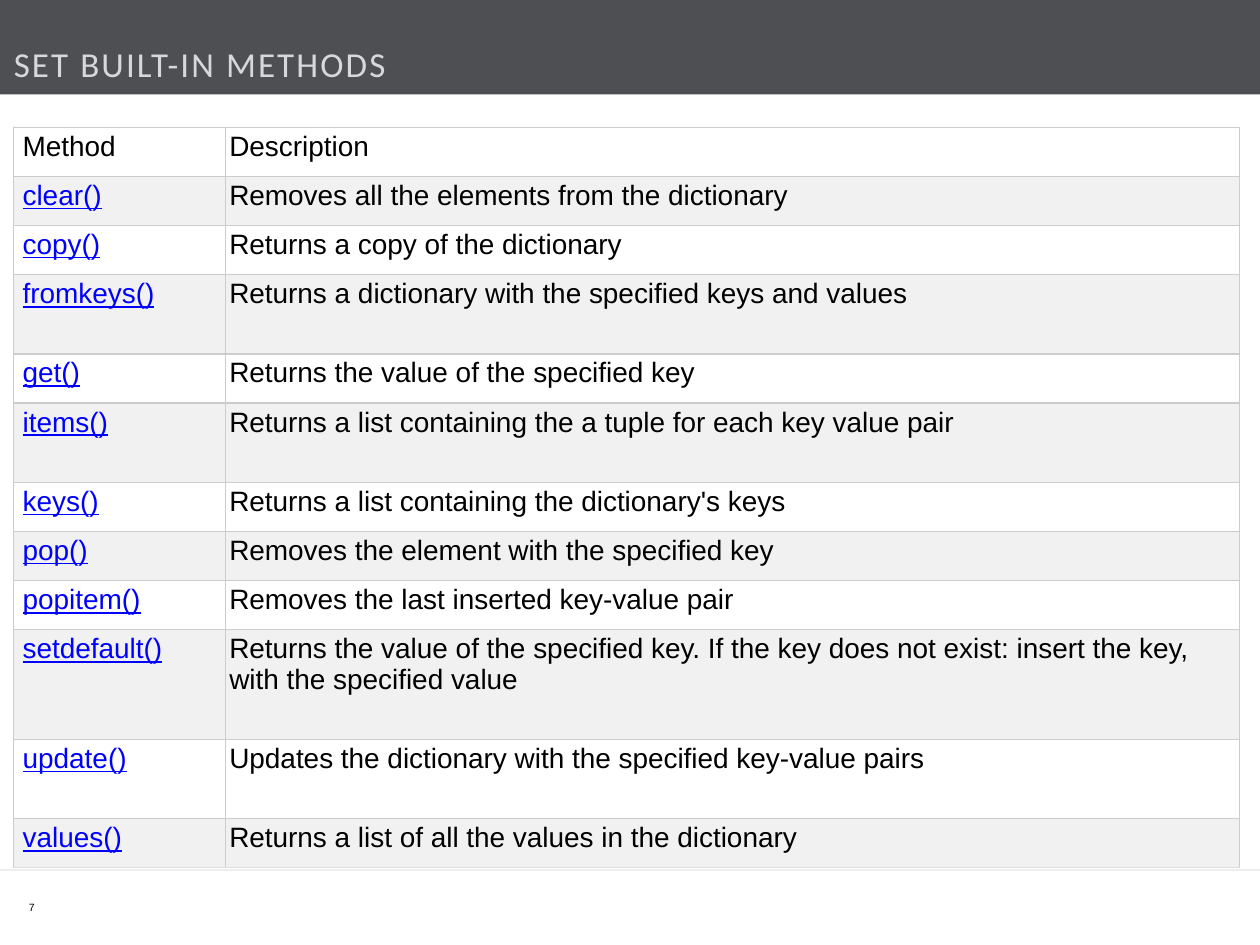
from lxml.etree import SubElement
from pptx import Presentation
from pptx.dml.color import RGBColor
from pptx.enum.shapes import MSO_SHAPE
from pptx.enum.text import MSO_ANCHOR
from pptx.oxml.ns import qn
from pptx.util import Inches, Pt

COLORS = {
    "header": "4D4F53",
    "title": "D7D8D9",
    "footer_edge": "9B9B9C",
    "white": "FFFFFF",
    "band": "F1F1F1",
    "border": "CCCCCC",
    "last_border": "DDDDDD",
    "text": "000000",
    "method": "0000FF",
}

ROWS = [
    ("Method", "Description", 0.39),
    ("clear()", "Removes all the elements from the dictionary", 0.39),
    ("copy()", "Returns a copy of the dictionary", 0.39),
    ("fromkeys()", "Returns a dictionary with the specified keys and values", 0.63),
    ("get()", "Returns the value of the specified key", 0.39),
    ("items()", "Returns a list containing the a tuple for each key value pair", 0.63),
    ("keys()", "Returns a list containing the dictionary's keys", 0.39),
    ("pop()", "Removes the element with the specified key", 0.39),
    ("popitem()", "Removes the last inserted key-value pair", 0.39),
    ("setdefault()", "Returns the value of the specified key. If the key does not exist: "
     "insert the key, with the specified value", 0.87),
    ("update()", "Updates the dictionary with the specified key-value pairs", 0.63),
    ("values()", "Returns a list of all the values in the dictionary", 0.39),
]
COLUMN_WIDTHS = (1.68, 8.05)


def color(name):
    return RGBColor.from_string(COLORS[name])


def add_run(paragraph, text, font_name, size, color_name):
    run = paragraph.add_run()
    run.text = text
    run.font.name = font_name
    run.font.size = Pt(size)
    run.font.color.rgb = color(color_name)
    return run


def add_band(slide, left, top, width, height, color_name):
    shape = slide.shapes.add_shape(
        MSO_SHAPE.RECTANGLE, Inches(left), Inches(top), Inches(width), Inches(height))
    shape.shadow.inherit = False
    shape.fill.solid()
    shape.fill.fore_color.rgb = color(color_name)
    shape.line.fill.background()
    return shape


def add_text_box(slide, left, top, width, height, anchor, inset_x, inset_y):
    box = slide.shapes.add_textbox(Inches(left), Inches(top), Inches(width), Inches(height))
    frame = box.text_frame
    frame.word_wrap = True
    frame.vertical_anchor = anchor
    frame.margin_left = frame.margin_right = Inches(inset_x)
    frame.margin_top = frame.margin_bottom = Inches(inset_y)
    return frame.paragraphs[0]


def add_header(slide, left, top, width, height):
    add_band(slide, left, top, width, height, "header")
    paragraph = add_text_box(
        slide, left + 0.11, top + 0.17, 8.55, 0.5, MSO_ANCHOR.BOTTOM, 0, 0)
    run = add_run(paragraph, "SET BUILT-IN METHODS", "Calibri", 20, "title")
    run.font._element.set("spc", "120")


def add_footer(slide, left, top, width, height):
    edge = add_band(slide, left, top, width, height, "footer_edge")
    edge_color = edge.fill._xPr.find(qn("a:solidFill"))[0]
    SubElement(edge_color, qn("a:alpha"), val="25000")
    add_band(slide, left, top + 0.01, width, height - 0.01, "white")
    paragraph = add_text_box(
        slide, left + 0.11, top + 0.1, 0.66, 0.4, MSO_ANCHOR.MIDDLE, 0.12, 0.06)
    add_run(paragraph, "7", "Arial", 6, "text")


def set_borders(cell, bottom_color):
    properties = cell._tc.get_or_add_tcPr()
    for side in ("lnL", "lnR", "lnT", "lnB"):
        line = SubElement(properties, qn(f"a:{side}"), w=str(Pt(0.75)))
        fill = SubElement(line, qn("a:solidFill"))
        name = bottom_color if side == "lnB" else "border"
        SubElement(fill, qn("a:srgbClr"), val=COLORS[name])


def add_method_table(slide, left, top, width, height):
    table = slide.shapes.add_table(
        len(ROWS), len(COLUMN_WIDTHS),
        Inches(left), Inches(top), Inches(width), Inches(height)).table
    for column, column_width in zip(table.columns, COLUMN_WIDTHS):
        column.width = Inches(column_width)
    for row_index, (method, description, row_height) in enumerate(ROWS):
        table.rows[row_index].height = Inches(row_height)
        is_last = row_index == len(ROWS) - 1
        for column_index, text in enumerate((method, description)):
            cell = table.cell(row_index, column_index)
            is_method = row_index > 0 and column_index == 0
            cell.margin_left = Inches(0.03 if column_index else 0.07)
            cell.margin_right = cell.margin_top = cell.margin_bottom = Inches(0.03)
            cell.vertical_anchor = MSO_ANCHOR.TOP
            set_borders(cell, "last_border" if is_last else "border")
            cell.fill.solid()
            cell.fill.fore_color.rgb = color("band" if row_index % 2 else "white")
            run = add_run(cell.text_frame.paragraphs[0], text, "Arial", 16,
                          "method" if is_method else "text")
            run.font.bold = False
            run.font.underline = is_method


presentation = Presentation()
presentation.slide_width = Inches(10)
presentation.slide_height = Inches(7.5)
slide = presentation.slides.add_slide(presentation.slide_layouts[6])
add_footer(slide, 0, 6.9, 10, 0.6)
add_header(slide, 0, 0, 10, 0.75)
add_method_table(slide, 0.11, 1.01, 9.73, 5.88)
presentation.save("out.pptx")
